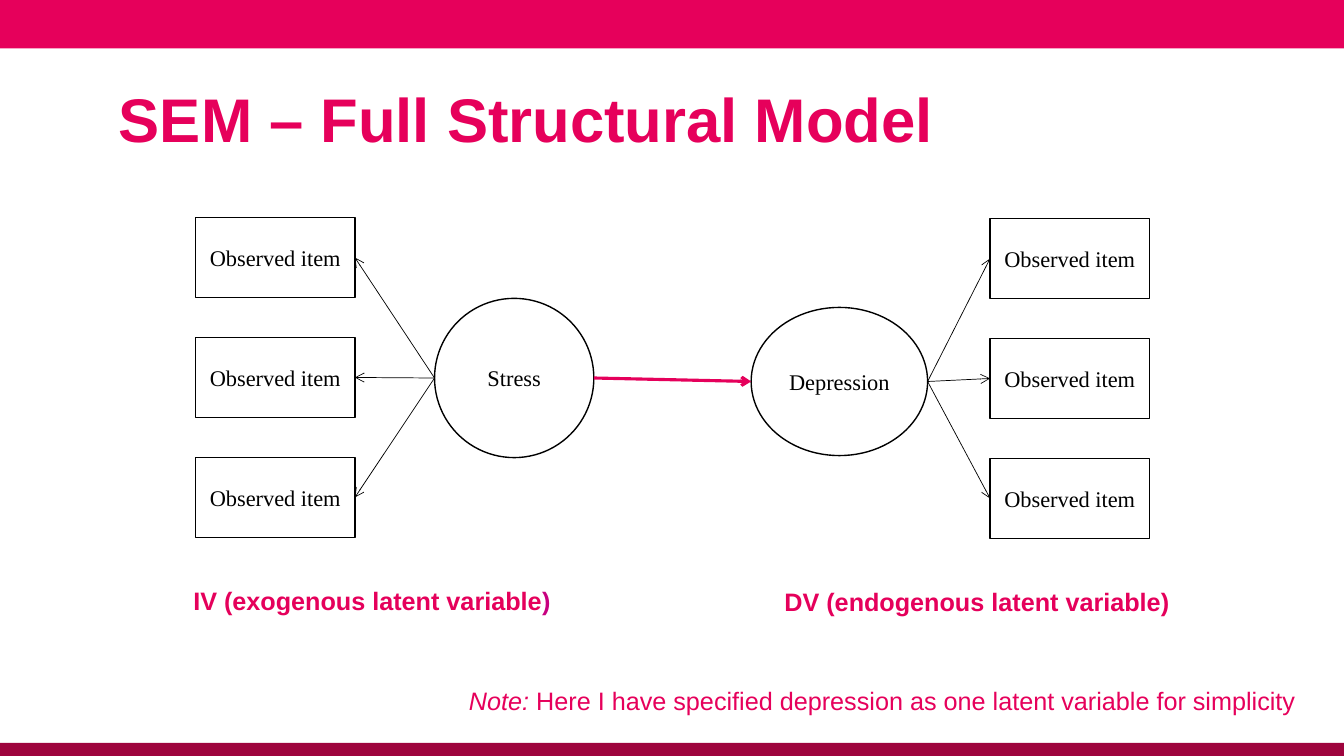
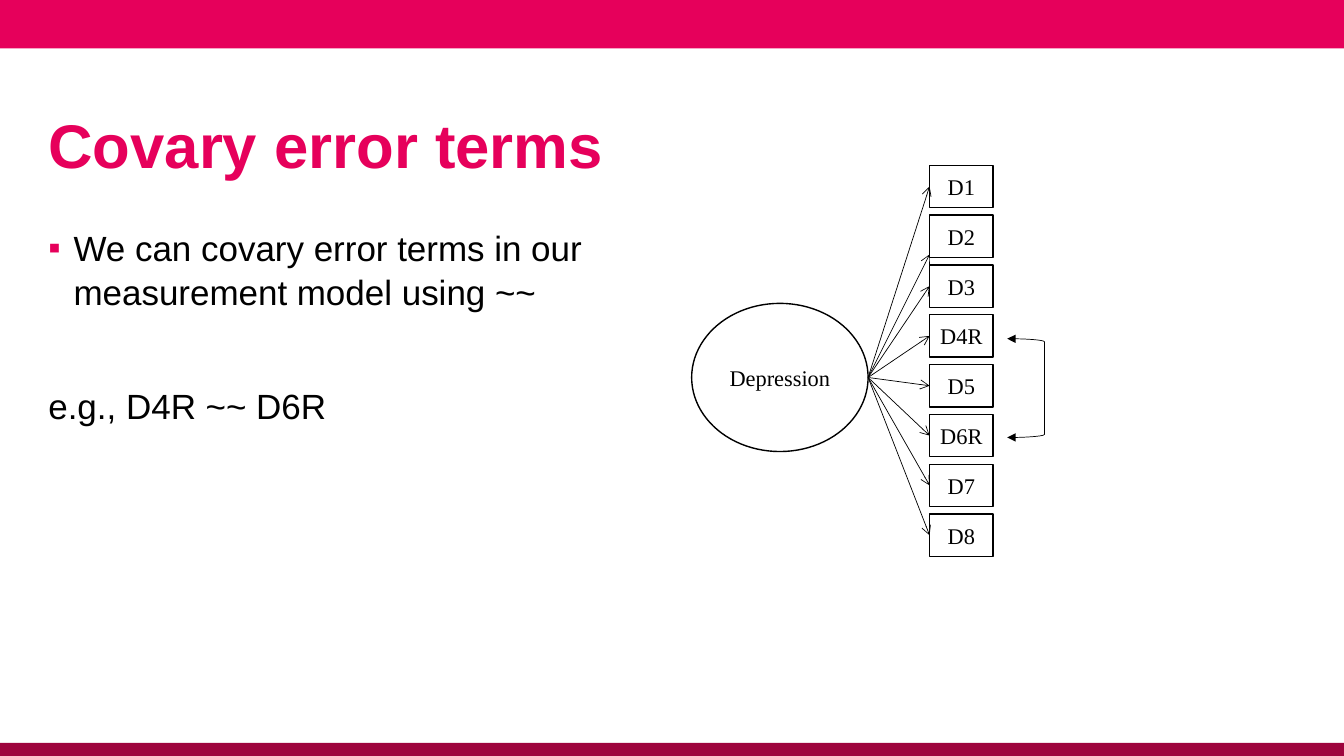
from typing import NamedTuple

from pptx import Presentation
from pptx.dml.color import RGBColor
from pptx.enum.shapes import MSO_CONNECTOR as Connector, MSO_SHAPE as Preset
from pptx.enum.text import MSO_ANCHOR as Anchor, MSO_AUTO_SIZE as AutoSize, PP_ALIGN as Align
from pptx.oxml.ns import qn
from pptx.util import Inches, Pt

PINK, LINE_PINK, DARK_RED = "E6005B", "E5005B", "9E043D"
PURPLE, BLACK = "C7007F", "000000"
SANS, SERIF = "Arial", "Times New Roman"
TITLE_INSETS = (0, 0.05, 0.1, 0.05)
NO_INSETS = (0, 0, 0, 0)


class Area(NamedTuple):
    left: float
    top: float
    width: float
    height: float

    @property
    def middle(self) -> float:
        return self.top + self.height / 2

    @property
    def right(self) -> float:
        return self.left + self.width

    def lengths(self) -> list:
        return [Inches(value) for value in self]


class Span(NamedTuple):
    text: str
    size: float
    color: str = BLACK
    font: str = SANS
    bold: bool = False
    italic: bool = False


def rgb(color: str) -> RGBColor:
    return RGBColor.from_string(color)


def add_spans(para, *spans: Span) -> None:
    for span in spans:
        run = para.add_run()
        run.text = span.text
        font = run.font
        font.name, font.size = span.font, Pt(span.size)
        font.bold, font.italic = span.bold, span.italic
        font.color.rgb = rgb(span.color)


def set_frame(frame, insets: tuple, anchor, wrap: bool = True) -> None:
    frame.auto_size = AutoSize.NONE
    frame.word_wrap = wrap
    frame.vertical_anchor = anchor
    frame.margin_left, frame.margin_top, frame.margin_right, frame.margin_bottom = map(Inches, insets)


def place(shape, area: Area) -> None:
    shape.left, shape.top, shape.width, shape.height = area.lengths()


def set_bullet(para, char: str = "") -> None:
    """Give the paragraph a hanging pink bullet, or none at all."""
    props = para._p.get_or_add_pPr()
    indent = Inches(0.25) if char else 0
    props.set("marL", str(indent))
    props.set("indent", str(-indent))
    if not char:
        props.append(props.makeelement(qn("a:buNone"), {}))
        return
    color = props.makeelement(qn("a:buClr"), {})
    color.append(props.makeelement(qn("a:srgbClr"), {"val": PINK}))
    props.append(color)
    props.append(props.makeelement(qn("a:buFont"), {"typeface": SANS}))
    props.append(props.makeelement(qn("a:buChar"), {"char": char}))


def add_arrowheads(shape, **ends: str) -> None:
    line = shape.element.spPr.find(qn("a:ln"))
    for end, kind in ends.items():
        line.append(line.makeelement(qn(f"a:{end}"), {"type": kind}))


def add_bands(deck, slide) -> None:
    """Draw the bands and move them to the master, behind everything."""
    tree = deck.slide_master.shapes.element
    bands = ((Area(0, 0, 13.33, 0.48), PINK), (Area(0, 7.37, 13.33, 0.13), DARK_RED))
    for number, (area, color) in enumerate(bands):
        band = slide.shapes.add_shape(Preset.RECTANGLE, *area.lengths())
        band.shadow.inherit = False
        band.fill.solid()
        band.fill.fore_color.rgb = rgb(color)
        band.line.fill.background()
        band.element.nvSpPr.cNvPr.set("id", str(100 + number))
        tree.insert(2 + number, band.element)


def set_title(slide, text: str, area: Area) -> None:
    title = slide.shapes.title
    place(title, area)
    set_frame(title.text_frame, TITLE_INSETS, Anchor.MIDDLE)
    para = title.text_frame.paragraphs[0]
    para.alignment = Align.LEFT
    add_spans(para, Span(text, 44, PINK, bold=True))


def body_frame(slide, area: Area, insets: tuple, anchor):
    body = slide.placeholders[1]
    place(body, area)
    set_frame(body.text_frame, insets, anchor)
    return body.text_frame


def add_node(slide, preset, text: str, area: Area) -> None:
    node = slide.shapes.add_shape(preset, *area.lengths())
    node.shadow.inherit = False
    node.fill.background()
    node.line.color.rgb = rgb(BLACK)
    node.line.width = Pt(1)
    set_frame(node.text_frame, (0.05, 0.05, 0.05, 0.05), Anchor.MIDDLE)
    para = node.text_frame.paragraphs[0]
    para.alignment = Align.CENTER
    add_spans(para, Span(text, 16, font=SERIF))


def add_arrow(slide, start: tuple, end: tuple, color: str = BLACK, width: float = 0.5) -> None:
    points = [Inches(value) for value in (*start, *end)]
    arrow = slide.shapes.add_connector(Connector.STRAIGHT, *points)
    arrow.line.color.rgb = rgb(color)
    arrow.line.width = Pt(width)
    add_arrowheads(arrow, tailEnd="arrow")
    props = arrow.element.spPr
    props.append(props.makeelement(qn("a:effectLst"), {}))


def add_label(slide, area: Area, *spans: Span) -> None:
    box = slide.shapes.add_textbox(*area.lengths())
    set_frame(box.text_frame, NO_INSETS, Anchor.BOTTOM, wrap=False)
    para = box.text_frame.paragraphs[0]
    para.alignment = Align.RIGHT
    add_spans(para, *spans)


def build_structural_model(slide) -> None:
    set_title(slide, "SEM – Full Structural Model", Area(1.18, 0.62, 12.36, 1.1))
    stress = Area(4.31, 2.96, 1.58, 1.58)
    depression = Area(7.45, 3.05, 1.75, 1.47)
    add_node(slide, Preset.OVAL, "Stress", stress)
    add_node(slide, Preset.OVAL, "Depression", depression)
    for row in range(3):
        left_item = Area(1.94, 2.16 + 1.19 * row, 1.58, 0.79)
        right_item = left_item._replace(left=9.82, top=left_item.top + 0.01)
        for item in (left_item, right_item):
            add_node(slide, Preset.RECTANGLE, "Observed item", item)
        add_arrow(slide, (stress.left, stress.middle), (left_item.right, left_item.middle))
        add_arrow(slide, (depression.right, depression.middle), (right_item.left, right_item.middle))
    add_arrow(slide, (stress.right, stress.middle), (depression.left, depression.middle), LINE_PINK, 2.25)

    add_label(slide, Area(10.6, 5.12, 1, 1),
              Span("DV (endogenous latent variable)", 18, LINE_PINK, bold=True))
    add_label(slide, Area(4.46, 5.11, 1, 1),
              Span("IV (exogenous latent variable", 18, LINE_PINK, bold=True),
              Span(")", 18, PURPLE, bold=True))

    note = body_frame(slide, Area(4.2, 6.62, 8.65, 0.48), NO_INSETS, Anchor.BOTTOM).paragraphs[0]
    set_bullet(note)
    note.alignment = Align.RIGHT
    note.space_before = Pt(0)
    add_spans(note, Span("Note:", 18, PINK, italic=True),
              Span(" Here I have specified depression as one latent variable for simplicity", 18, PINK))


def build_error_terms(slide) -> None:
    set_title(slide, "Covary error terms", Area(0.48, 0.88, 5.99, 1.1))
    frame = body_frame(slide, Area(0.48, 2.18, 5.99, 4.06), TITLE_INSETS, Anchor.TOP)
    rows = (("We can covary error terms in our measurement model using ~~", "▪", 0),
            ("e.g., D4R ~~ D6R", "", 50))
    for number, (text, bullet, gap) in enumerate(rows):
        para = frame.add_paragraph() if number else frame.paragraphs[0]
        set_bullet(para, bullet)
        para.space_before = Pt(gap)
        para.line_spacing = 1.05
        add_spans(para, Span(text, 25))

    depression = Area(6.86, 3.01, 1.75, 1.47)
    add_node(slide, Preset.OVAL, "Depression", depression)
    names = ("D1", "D2", "D3", "D4R", "D5", "D6R", "D7", "D8")
    first_top, last_top = 1.64, 5.1
    pitch = (last_top - first_top) / (len(names) - 1)
    arrow_drops = {"D2": 0.18}
    for row, name in enumerate(names):
        item = Area(9.22, first_top + pitch * row, 0.63, 0.42)
        add_node(slide, Preset.RECTANGLE, name, item)
        add_arrow(slide, (depression.right, depression.middle),
                  (item.left, item.middle + arrow_drops.get(name, 0)))

    covariance = slide.shapes.add_shape(Preset.LEFT_BRACKET, *Area(9.99, 3.36, 0.37, 0.98).lengths())
    covariance.rotation = 180
    covariance.shadow.inherit = False
    covariance.fill.background()
    covariance.line.color.rgb = rgb(BLACK)
    covariance.line.width = Pt(0.5)
    add_arrowheads(covariance, headEnd="triangle", tailEnd="triangle")


def main() -> None:
    deck = Presentation()
    deck.slide_width, deck.slide_height = Inches(13.33), Inches(7.5)
    slides = [deck.slides.add_slide(deck.slide_layouts[1]) for _ in range(2)]
    add_bands(deck, slides[0])
    for build, slide in zip((build_structural_model, build_error_terms), slides):
        build(slide)
    deck.save("out.pptx")


if __name__ == "__main__":
    main()
